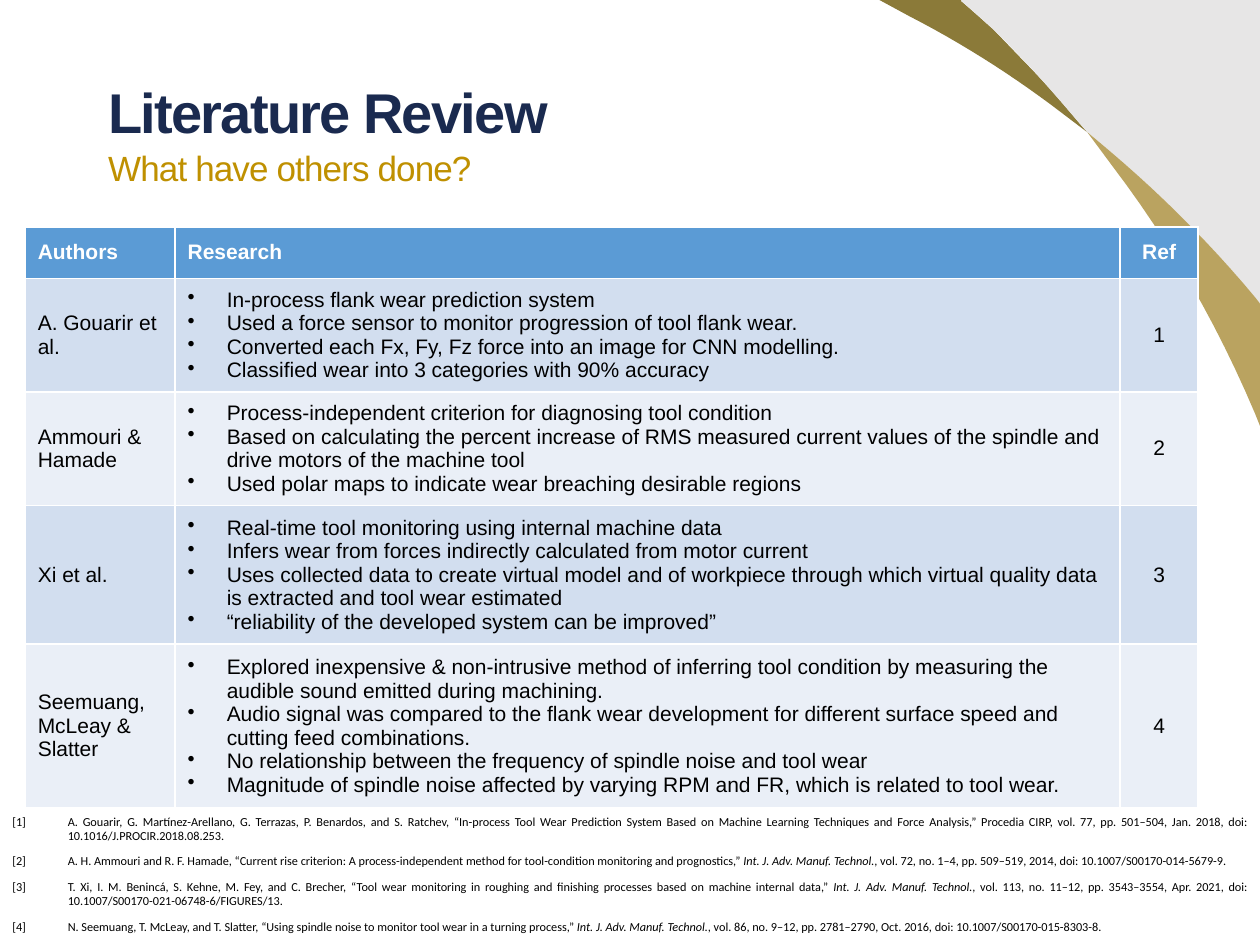
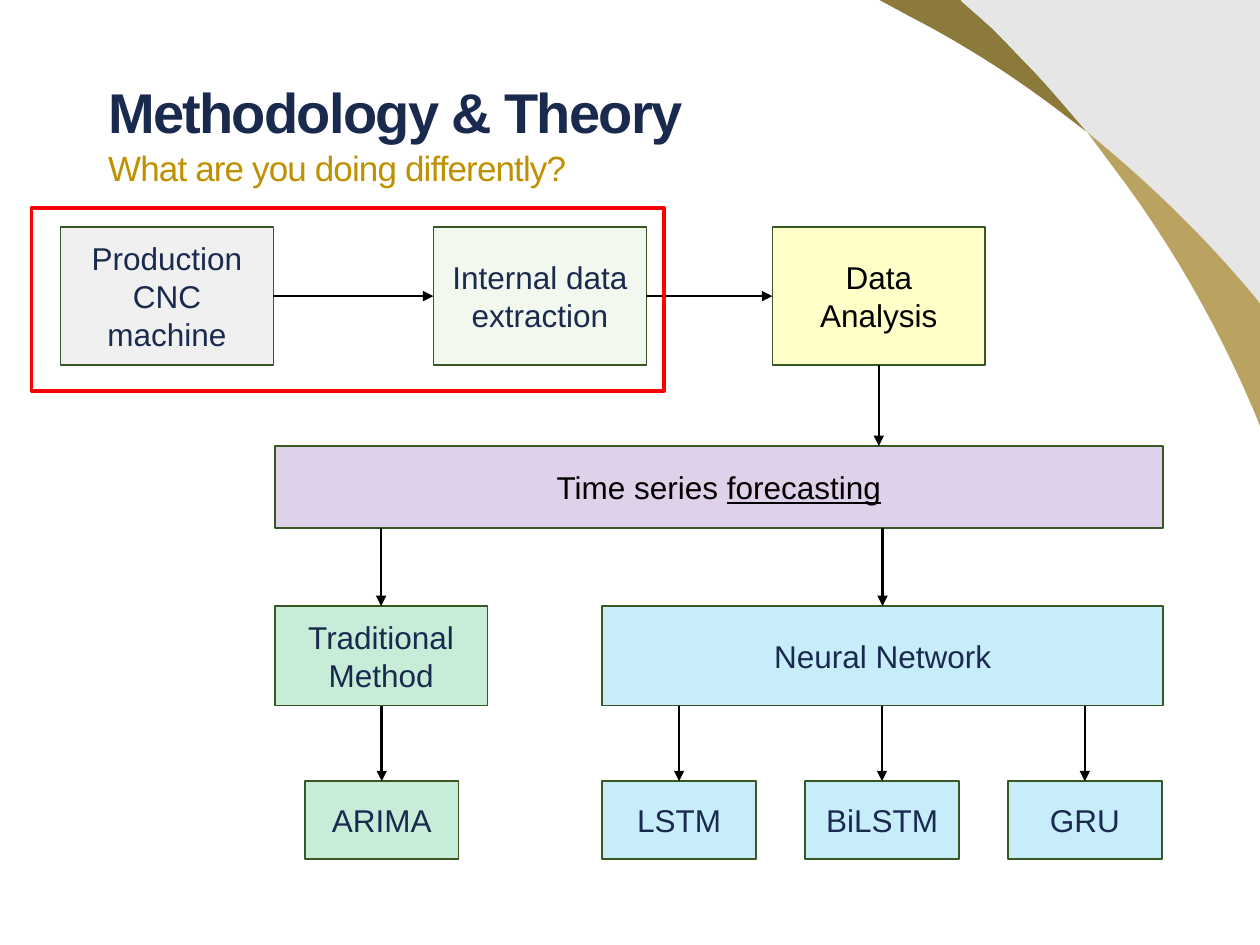
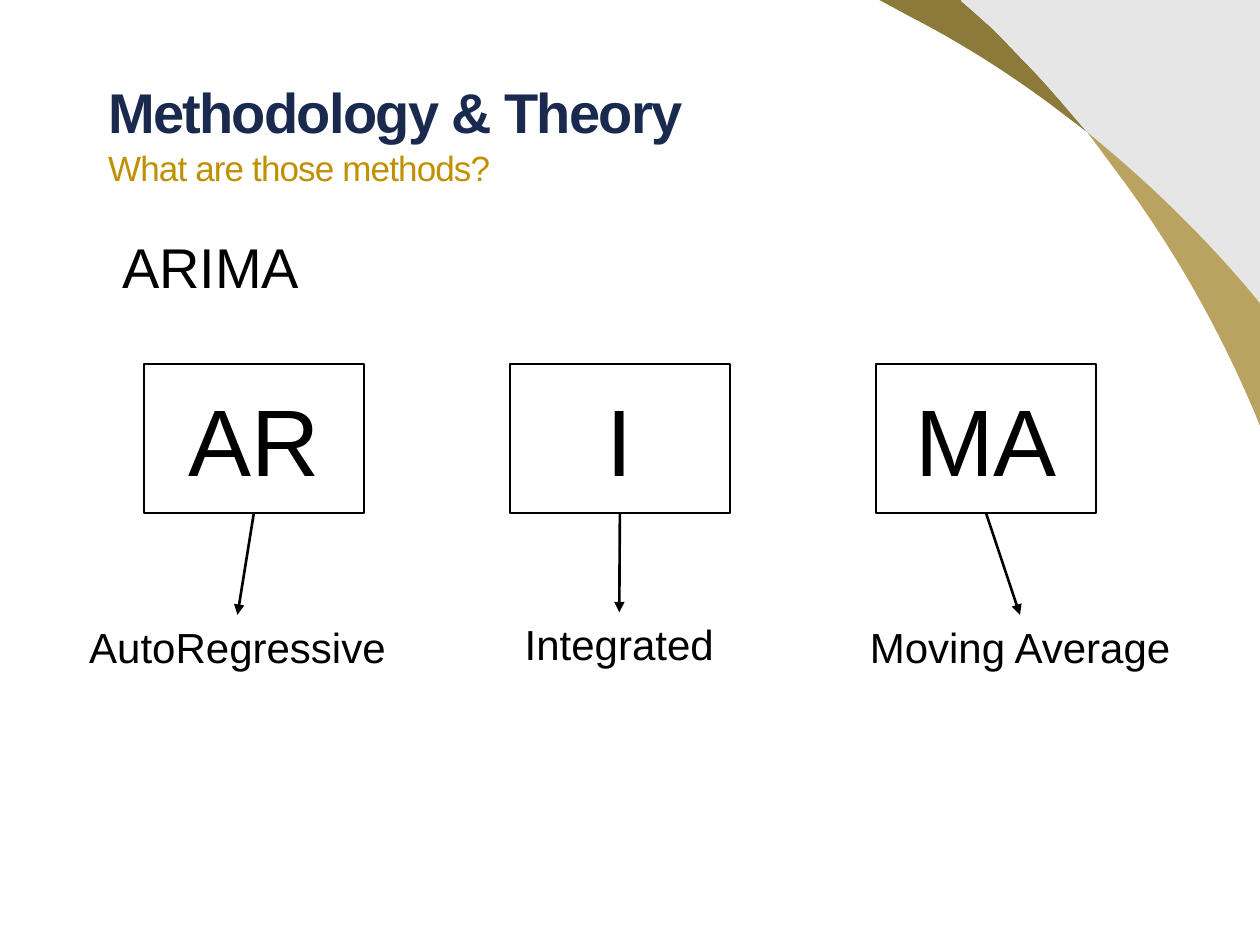
"""Build three slides on tool wear: a literature review, the methodology and ARIMA."""
from dataclasses import dataclass

import pptx
import pptx.dml.color
import pptx.enum.shapes
import pptx.enum.text
import pptx.oxml.ns
import pptx.oxml.xmlchemy
import pptx.util
from lxml import etree

Inches = pptx.util.Inches
Pt = pptx.util.Pt
qn = pptx.oxml.ns.qn
ALIGN = pptx.enum.text.PP_ALIGN
ANCHOR = pptx.enum.text.MSO_ANCHOR
RECTANGLE = pptx.enum.shapes.MSO_SHAPE.RECTANGLE
STRAIGHT = pptx.enum.shapes.MSO_CONNECTOR.STRAIGHT


@dataclass(frozen=True)
class Theme:
    font: str = "Arial"
    reference_font: str = "Calibri"
    navy: str = "1A2A4F"
    gold: str = "BF9000"
    black: str = "000000"
    white: str = "FFFFFF"
    red: str = "FF0000"
    outline: str = "385723"
    header: str = "5B9BD5"
    bands: tuple = ("D2DEEF", "EAEFF7")
    gray: str = "BFBFBF"
    sage: str = "C5E0B4"
    yellow: str = "FFFF00"
    purple: str = "7030A0"
    green: str = "00B050"
    blue: str = "00B0F0"
    tint: int = 22
    title: int = 32
    subtitle: int = 20
    letters: int = 54
    label: int = 24
    node: int = 18
    table: int = 12
    reference: int = 7


THEME = Theme()

CORNER = [
    ("8B7A39", (6.98, 0), [
        (7.63, 0), (7.63, 0.01), (7.88, 0.23), (8.11, 0.47),
        (8.27, 0.63, 8.41, 0.79, 8.56, 0.97), (8.63, 1.05), (8.34, 0.83),
        (7.99, 0.57, 7.61, 0.33, 7.22, 0.13)]),
    ("E7E6E6", (7.63, 0), [
        (10, 0), (10, 2.41), (9.97, 2.37), (9.58, 1.9, 9.15, 1.48, 8.69, 1.1),
        (8.63, 1.05), (8.56, 0.97), (8.34, 0.71, 8.12, 0.46, 7.88, 0.23),
        (7.8, 0.16, 7.72, 0.08, 7.63, 0.01)]),
    ("BAA360", (8.63, 1.05), [
        (8.69, 1.1), (9.15, 1.48, 9.58, 1.9, 9.97, 2.37), (10, 2.41), (10, 3.38),
        (9.96, 3.28), (9.66, 2.57, 9.28, 1.91, 8.83, 1.32)]),
]

TABLE_HEADER = ("Authors", "Research", "Ref")
COLUMN_WIDTHS = (1.19, 7.5, 0.62)
HEADER_HEIGHT = 0.41
STUDIES = [
    ("A. Gouarir et al.", 0.85, [
        "In-process flank wear prediction system",
        "Used a force sensor to monitor progression of tool flank wear.",
        "Converted each Fx, Fy, Fz force into an image for CNN modelling.",
        "Classified wear into 3 categories with 90% accuracy"]),
    ("Ammouri & Hamade", 0.85, [
        "Process-independent criterion for diagnosing tool condition",
        "Based on calculating the percent increase of RMS measured current values of the "
        "spindle and drive motors of the machine tool",
        "Used polar maps to indicate wear breaching desirable regions"]),
    ("Xi et al.", 1.03, [
        "Real-time tool monitoring using internal machine data",
        "Infers wear from forces indirectly calculated from motor current",
        "Uses collected data to create virtual model and of workpiece through which virtual "
        "quality data is extracted and tool wear estimated",
        "“reliability of the developed system can be improved”"]),
    ("Seemuang, McLeay & Slatter", 1.22, [
        "Explored inexpensive & non-intrusive method of inferring tool condition by measuring "
        "the audible sound emitted during machining.",
        "Audio signal was compared to the flank wear development for different surface speed "
        "and cutting feed combinations.",
        "No relationship between the frequency of spindle noise and tool wear",
        "Magnitude of spindle noise affected by varying RPM and FR, which is related to tool "
        "wear."]),
]

JOURNAL = ("Int. J. Adv. Manuf. Technol.", "italic")
REFERENCES = [
    ["[1]\tA. Gouarir, G. Martínez-Arellano, G. Terrazas, P. Benardos, and S. Ratchev, "
     "“In-process Tool Wear Prediction System Based on Machine Learning Techniques and Force "
     "Analysis,” Procedia CIRP, vol. 77, pp. 501–504, Jan. 2018, doi: "
     "10.1016/J.PROCIR.2018.08.253."],
    ["[2]\tA. H. Ammouri and R. F. Hamade, “Current rise criterion: A process-independent "
     "method for tool-condition monitoring and prognostics,” ", JOURNAL,
     ", vol. 72, no. 1–4, pp. 509–519, 2014, doi: 10.1007/S00170-014-5679-9."],
    ["[3]\tT. Xi, I. M. Benincá, S. Kehne, M. Fey, and C. Brecher, “Tool wear monitoring in "
     "roughing and finishing processes based on machine internal data,” ", JOURNAL,
     ", vol. 113, no. 11–12, pp. 3543–3554, Apr. 2021, doi: 10.1007/S00170-021-06748-6/FIGURES/13."],
    ["[4]\tN. Seemuang, T. McLeay, and T. Slatter, “Using spindle noise to monitor tool wear "
     "in a turning process,” ", JOURNAL,
     ", vol. 86, no. 9–12, pp. 2781–2790, Oct. 2016, doi: 10.1007/S00170-015-8303-8."],
]

SOURCE_SIZE = (1.69, 1.1)
METHOD_HEIGHT = 0.79
MODEL_SIZE = (1.22, 0.62)
SOURCE_TOP, FORECAST_TOP, METHOD_TOP, MODEL_TOP = 1.8, 3.54, 4.81, 6.2
NODES = {
    "machine": (["Production CNC", "machine"], 0.48, SOURCE_TOP, *SOURCE_SIZE, THEME.gray, THEME.navy),
    "extraction": (["Internal data extraction"], 3.44, SOURCE_TOP, *SOURCE_SIZE, THEME.sage, THEME.navy),
    "analysis": (["Data Analysis"], 6.13, SOURCE_TOP, *SOURCE_SIZE, THEME.yellow, THEME.black),
    "forecast": ([["Time series ", ("forecasting", "underline")]],
                 2.18, FORECAST_TOP, 7.05, 0.65, THEME.purple, THEME.black),
    "traditional": (["Traditional Method"], 2.18, METHOD_TOP, 1.69, METHOD_HEIGHT, THEME.green, THEME.navy),
    "network": (["Neural Network"], 4.78, METHOD_TOP, 4.45, METHOD_HEIGHT, THEME.blue, THEME.navy),
    "arima": (["ARIMA"], 2.42, MODEL_TOP, *MODEL_SIZE, THEME.green, THEME.navy),
}
NETWORK_MODELS = ("LSTM", "BiLSTM", "GRU")
MODEL_LEFT, MODEL_PITCH = 4.78, 1.61
for index, model in enumerate(NETWORK_MODELS):
    NODES[model] = ([model], MODEL_LEFT + index * MODEL_PITCH, MODEL_TOP, *MODEL_SIZE,
                    THEME.blue, THEME.navy)
SIDE_LINKS = [("machine", "extraction"), ("extraction", "analysis")]
DOWN_LINKS = [("analysis", "forecast"), ("forecast", "traditional"), ("forecast", "network"),
              ("traditional", "arima")] + [("network", model) for model in NETWORK_MODELS]

LETTER_LEFT, LETTER_PITCH, LETTER_TOP = 1.14, 2.905, 2.89
LETTER_SIZE = (1.75, 1.18)
TERMS = [
    ("AR", "AutoRegressive", 0.58, 4.88, 2.61),
    ("I", "Integrated", 3.92, 4.86, 1.99),
    ("MA", "Moving Average", 6.79, 4.88, 2.61),
]


def color(value):
    return pptx.dml.color.RGBColor.from_string(value)


def write(frame, paragraphs, size, ink=THEME.black, font=THEME.font, bold=False,
          align=ALIGN.LEFT, anchor=ANCHOR.TOP, tracking=0, hanging=0, bullet=None,
          after=0, leading=None):
    frame.word_wrap = True
    frame.vertical_anchor = anchor
    for index, spans in enumerate(paragraphs):
        para = frame.paragraphs[0] if index == 0 else frame.add_paragraph()
        para.alignment = align
        para.space_after = Pt(after)
        if leading:
            para.line_spacing = leading
        if hanging:
            properties = para._p.get_or_add_pPr()
            properties.set("marL", str(Inches(hanging)))
            properties.set("indent", str(-Inches(hanging)))
            if bullet:
                etree.SubElement(properties, qn("a:buChar")).set("char", bullet)
        para.font.name = font
        para.font.size = Pt(size)
        para.font.bold = bold
        para.font.color.rgb = color(ink)
        for part in [spans] if isinstance(spans, str) else spans:
            text, emphasis = (part, None) if isinstance(part, str) else part
            span = para.add_run()
            span.text = text
            if emphasis:
                setattr(span.font, emphasis, True)
            if tracking:
                span._r.get_or_add_rPr().set("spc", str(int(tracking * 100)))


def add_text(page, place, paragraphs, size, **style):
    box = page.shapes.add_textbox(*map(Inches, place))
    write(box.text_frame, paragraphs, size, **style)


def add_box(page, place, fill=None, alpha=None, line=None, width=1):
    box = page.shapes.add_shape(RECTANGLE, *map(Inches, place))
    box.shadow.inherit = False
    if fill:
        box.fill.solid()
        box.fill.fore_color.rgb = color(fill)
    else:
        box.fill.background()
    if alpha:
        tone = box._element.spPr.find(f".//{qn('a:srgbClr')}")
        etree.SubElement(tone, qn("a:alpha")).set("val", str(alpha * 1000))
    if line:
        box.line.color.rgb = color(line)
        box.line.width = Pt(width)
    else:
        box.line.fill.background()
    return box


def add_arrow(page, start, end):
    arrow = page.shapes.add_connector(STRAIGHT, *map(Inches, (*start, *end)))
    arrow.line.color.rgb = color(THEME.black)
    arrow.line.width = Pt(1.5)
    etree.SubElement(arrow.line._get_or_add_ln(), qn("a:tailEnd")).set("type", "triangle")
    etree.SubElement(arrow._element.spPr, qn("a:effectLst"))


def trace(start, steps, pieces=12):
    points = [start]
    for step in steps:
        if len(step) == 2:
            points.append(step)
            continue
        corners = [points[-1], step[:2], step[2:4], step[4:]]
        for piece in range(1, pieces + 1):
            t = piece / pieces
            weights = ((1 - t) ** 3, 3 * t * (1 - t) ** 2, 3 * t * t * (1 - t), t ** 3)
            points.append(tuple(sum(w * corner[axis] for w, corner in zip(weights, corners))
                                for axis in (0, 1)))
    return [(Inches(x), Inches(y)) for x, y in points]


def add_page(deck, title, subtitle):
    page = deck.slides.add_slide(deck.slide_layouts[6])
    for fill, start, steps in CORNER:
        first, *rest = trace(start, steps)
        builder = page.shapes.build_freeform(*first)
        builder.add_line_segments(rest, close=True)
        band = builder.convert_to_shape()
        band.shadow.inherit = False
        band.fill.solid()
        band.fill.fore_color.rgb = color(fill)
        band.line.fill.background()
    add_text(page, (0.76, 0.63, 7.06, 0.52), [title], THEME.title, ink=THEME.navy,
             bold=True, tracking=-1, leading=0.9)
    add_text(page, (0.76, 1.15, 7.68, 0.65), [subtitle], THEME.subtitle, ink=THEME.gold,
             tracking=-0.5, leading=0.9)
    return page


def fill_cell(cell, paragraphs, fill, **style):
    cell.fill.solid()
    cell.fill.fore_color.rgb = color(fill)
    write(cell.text_frame, paragraphs, THEME.table, **style)
    cell.vertical_anchor = ANCHOR.MIDDLE


def build_review(deck):
    page = add_page(deck, "Literature Review", "What have others done?")
    heights = [HEADER_HEIGHT] + [height for _, height, _ in STUDIES]
    place = (0.2, 1.8, sum(COLUMN_WIDTHS), sum(heights))
    table = page.shapes.add_table(len(heights), len(COLUMN_WIDTHS), *map(Inches, place)).table
    for column, width in zip(table.columns, COLUMN_WIDTHS):
        column.width = Inches(width)
    for row, height in zip(table.rows, heights):
        row.height = Inches(height)
    aligns = (ALIGN.LEFT, ALIGN.LEFT, ALIGN.CENTER)
    for column, heading in enumerate(TABLE_HEADER):
        fill_cell(table.cell(0, column), [heading], THEME.header, ink=THEME.white,
                  bold=True, align=aligns[column])
    for number, (authors, _, findings) in enumerate(STUDIES, 1):
        fill = THEME.bands[(number - 1) % 2]
        fill_cell(table.cell(number, 0), [authors], fill)
        fill_cell(table.cell(number, 1), findings, fill, hanging=0.31, bullet="•")
        fill_cell(table.cell(number, 2), [str(number)], fill, align=ALIGN.CENTER)
    box = add_box(page, (0, 6.41, 10, 1.06), fill=THEME.white)
    write(box.text_frame, REFERENCES, THEME.reference, font=THEME.reference_font,
          align=ALIGN.JUSTIFY, hanging=0.44, after=6)


def build_method(deck):
    page = add_page(deck, "Methodology & Theory", "What are you doing differently?")
    for paragraphs, left, top, width, height, fill, ink in NODES.values():
        box = add_box(page, (left, top, width, height), fill, THEME.tint, THEME.outline)
        write(box.text_frame, paragraphs, THEME.node, ink=ink, align=ALIGN.CENTER,
              anchor=ANCHOR.MIDDLE)
    for source, target in SIDE_LINKS:
        _, left, top, width, height, *_ = NODES[source]
        middle = top + height / 2
        add_arrow(page, (left + width, middle), (NODES[target][1], middle))
    for source, target in DOWN_LINKS:
        _, left, _, width, *_ = min(NODES[source], NODES[target], key=lambda node: node[3])
        center = left + width / 2
        bottom = NODES[source][2] + NODES[source][4]
        add_arrow(page, (center, bottom), (center, NODES[target][2]))
    add_box(page, (0.25, 1.65, 5.02, 1.45), line=THEME.red, width=2.25)


def build_arima(deck):
    page = add_page(deck, "Methodology & Theory", "What are those methods?")
    add_text(page, (0.87, 1.8, 6.61, 0.64), ["ARIMA"], THEME.title)
    width, height = LETTER_SIZE
    for index, (letters, meaning, label_left, label_top, label_width) in enumerate(TERMS):
        left = LETTER_LEFT + index * LETTER_PITCH
        box = add_box(page, (left, LETTER_TOP, width, height), line=THEME.black)
        write(box.text_frame, [letters], THEME.letters, align=ALIGN.CENTER,
              anchor=ANCHOR.MIDDLE)
        add_text(page, (label_left, label_top, label_width, 0.5), [meaning], THEME.label,
                 align=ALIGN.CENTER)
        add_arrow(page, (left + width / 2, LETTER_TOP + height),
                  (label_left + label_width / 2, label_top))


def main():
    deck = pptx.Presentation()
    deck.slide_width = Inches(10)
    deck.slide_height = Inches(7.5)
    build_review(deck)
    build_method(deck)
    build_arima(deck)
    deck.save("out.pptx")


if __name__ == "__main__":
    main()
